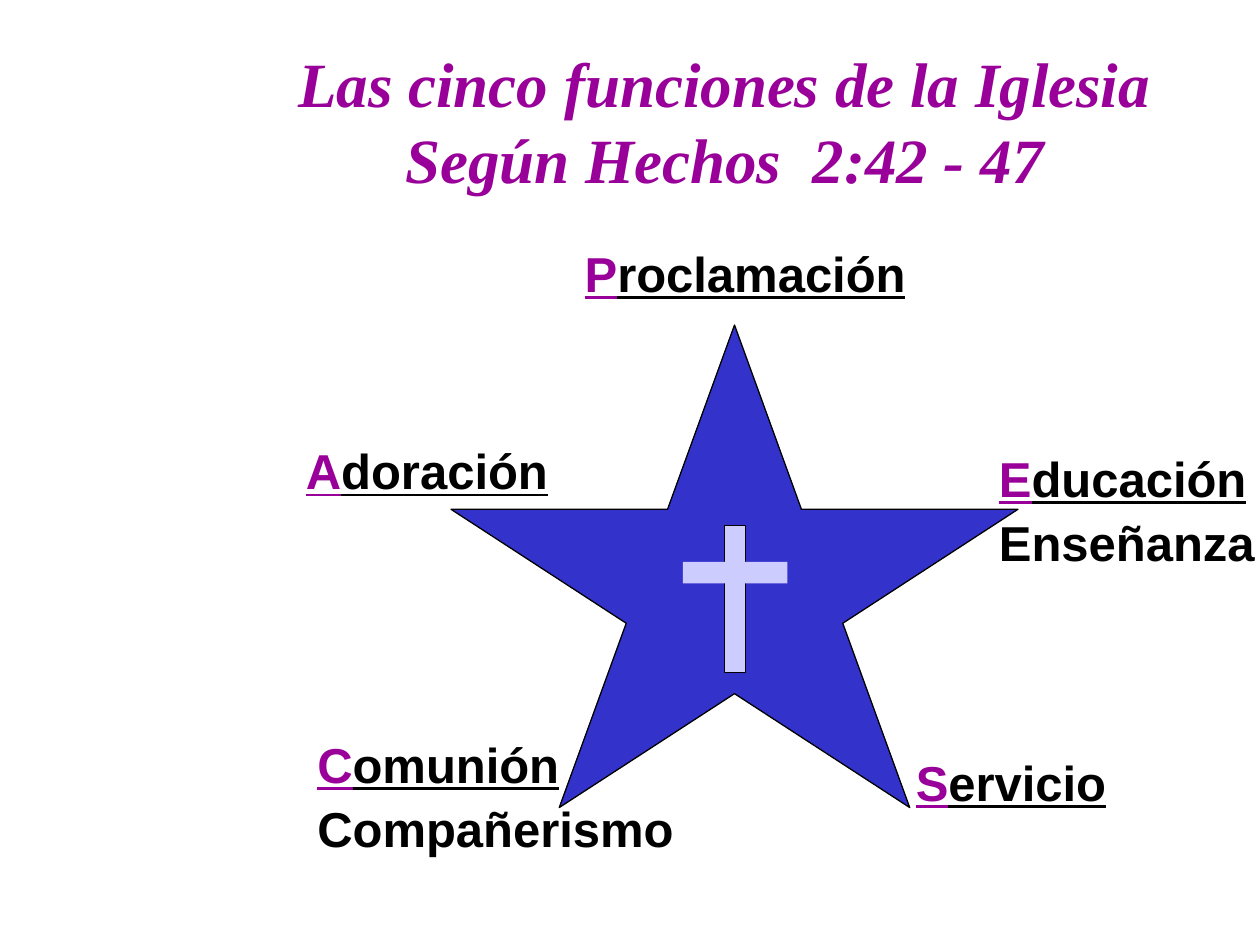
from pptx import Presentation
from pptx.dml.color import RGBColor
from pptx.enum.shapes import MSO_SHAPE
from pptx.enum.text import MSO_ANCHOR, MSO_AUTO_SIZE, PP_ALIGN
from pptx.oxml.ns import qn
from pptx.util import Inches, Pt

STAR, RECT = MSO_SHAPE.STAR_5_POINT, MSO_SHAPE.RECTANGLE
TOP, MIDDLE = MSO_ANCHOR.TOP, MSO_ANCHOR.MIDDLE
LEFT, CENTER = PP_ALIGN.LEFT, PP_ALIGN.CENTER
NO_AUTOFIT = MSO_AUTO_SIZE.NONE

COLORS = {"purple": "990099", "black": "000000", "blue": "3333CC",
          "lavender": "CCCCFF", "white": "FFFFFF"}

TITLE = "Las cinco funciones de la Iglesia\vSegún Hechos  2:42 - 47"
TITLE_BOX = (1.5, 0.33, 8.5, 1.25)

# Function, second line, box, line spacing; the first one fills the body placeholder
FUNCTIONS = [
    ("Proclamación", None, (4.54, 1.88, 2.88, 0.7), 1.0),
    ("Adoración", None, (2.33, 3.5, 2.17, 0.58), 0.9),
    ("Educación", "Enseñanza", (7.83, 3.56, 2.25, 1.17), 0.9),
    ("Comunión", "Compañerismo", (2.42, 5.83, 3.25, 1.25), 0.9),
    ("Servicio", None, (7.17, 5.92, 2, 0.57), 1.0),
]

# Preset, box, fill, outlined
SHAPES = [
    (STAR, (3.58, 2.58, 4.5, 3.83), "blue", True),
    (RECT, (5.75, 4.17, 0.17, 1.17), "lavender", True),
    (RECT, (5.42, 4.46, 0.83, 0.17), "lavender", False),
]


def rgb(name):
    return RGBColor.from_string(COLORS[name])


def place(s, box):
    s.left, s.top, s.width, s.height = map(Inches, box)


def format_run(r, font, size, color, underline=False, italic=False):
    f = r.font
    f.name, f.size, f.bold = font, Pt(size), True
    f.italic, f.underline = italic, underline
    f.color.rgb = rgb(color)


def add_run(p, text, color, underline):
    r = p.add_run()
    r.text = text
    format_run(r, "Arial", 28, color, underline)


def remove_bullet(p):
    pPr = p._p.get_or_add_pPr()
    pPr.set("marL", "0")
    pPr.set("indent", "0")
    pPr.append(pPr.makeelement(qn("a:buNone"), {}))


def write_function(s, name, detail, spacing):
    """Write the function with its initial highlighted, and any second line."""
    tf = s.text_frame
    tf.word_wrap = True
    tf.auto_size = NO_AUTOFIT
    tf.vertical_anchor = TOP
    p = tf.paragraphs[0]
    add_run(p, name[0], "purple", True)
    add_run(p, name[1:], "black", True)
    if detail:
        add_run(tf.add_paragraph(), detail, "black", False)
    for i, p in enumerate(tf.paragraphs):
        remove_bullet(p)
        p.alignment = LEFT
        p.line_spacing = spacing
        p.space_before = Pt(6.5 if i else 0)


def add_shape(slide, preset, box, fill, outlined):
    s = slide.shapes.add_shape(preset, *map(Inches, box))
    s.shadow.inherit = False
    s.fill.solid()
    s.fill.fore_color.rgb = rgb(fill)
    if outlined:
        s.line.color.rgb = rgb("black")
        s.line.width = Pt(0.75)
    else:
        s.line.fill.background()


def main():
    prs = Presentation()
    prs.slide_width, prs.slide_height = Inches(10), Inches(7.5)
    slide = prs.slides.add_slide(prs.slide_layouts[1])
    slide.background.fill.solid()
    slide.background.fill.fore_color.rgb = rgb("white")

    title = slide.shapes.title
    place(title, TITLE_BOX)
    tf = title.text_frame
    tf.text = TITLE
    tf.auto_size = NO_AUTOFIT
    tf.vertical_anchor = MIDDLE
    p = tf.paragraphs[0]
    p.alignment = CENTER
    for r in p.runs:
        format_run(r, "Times New Roman", 36, "purple", italic=True)

    star, *cross = SHAPES
    add_shape(slide, *star)
    for i, (name, detail, box, spacing) in enumerate(FUNCTIONS):
        if i == 0:
            s = slide.placeholders[1]
            place(s, box)
        else:
            s = slide.shapes.add_textbox(*map(Inches, box))
        write_function(s, name, detail, spacing)
    for bar in cross:
        add_shape(slide, *bar)

    prs.save("out.pptx")


if __name__ == "__main__":
    main()
